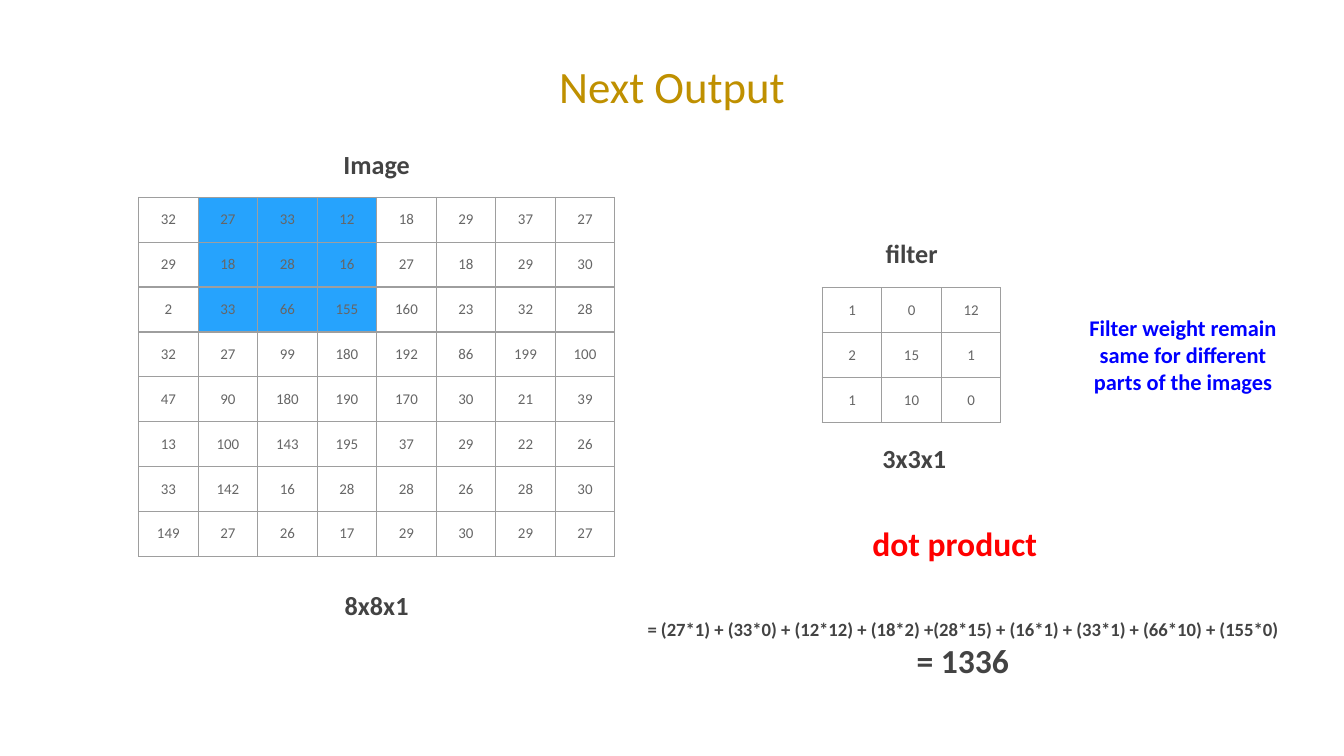
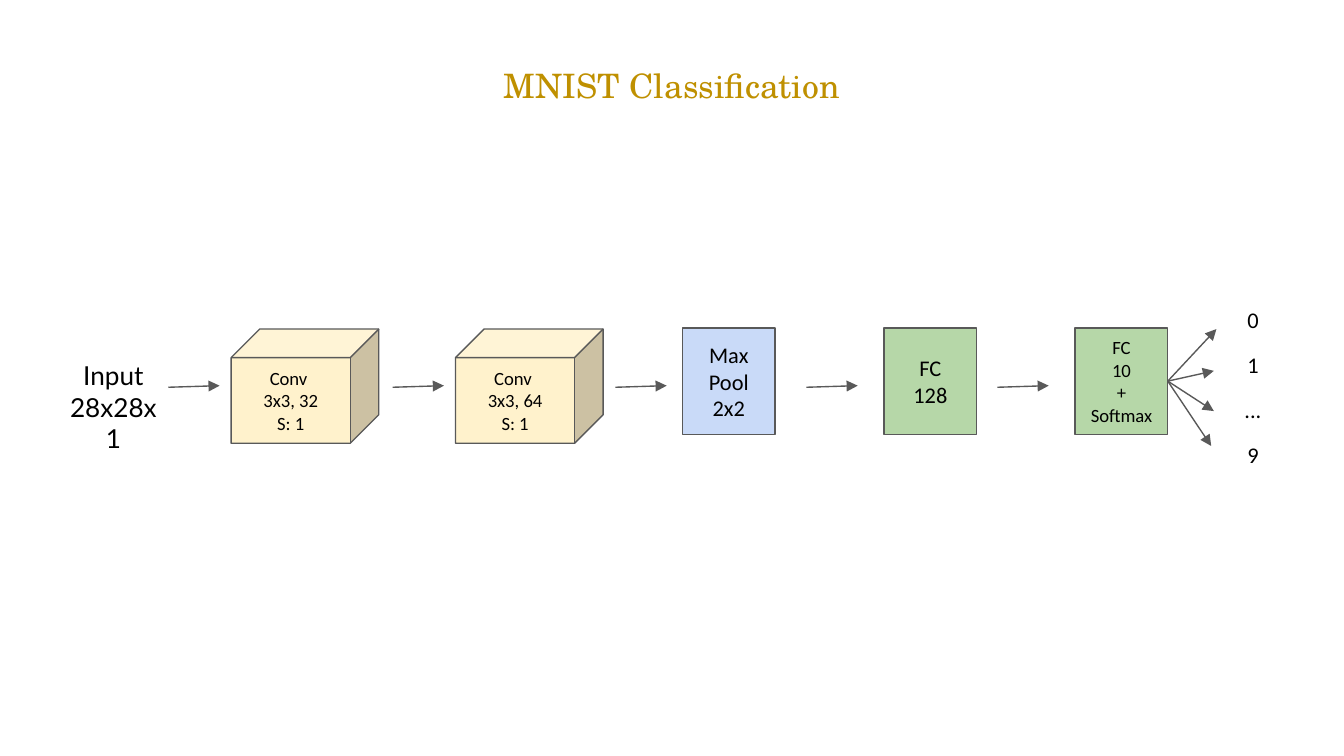
from dataclasses import dataclass

from lxml import etree
from pptx import Presentation
from pptx import util as u
from pptx.dml.color import RGBColor
from pptx.enum import shapes, text
from pptx.oxml import ns
from pptx.util import Cm, Pt

COLORS = {
    "title": "BF9000",
    "label": "434343",
    "number": "666666",
    "grid": "9E9E9E",
    "window": "26A3FD",
    "product": "FF0000",
    "note": "0000FF",
    "ink": "000000",
    "outline": "595959",
    "conv": "FFF2CC",
    "pool": "C9DAF8",
    "dense": "B6D7A8",
}
BODY_FONT = "Calibri"
INSET = Cm(0.25)
LINE_WIDTH = Pt(0.75)

# Tables: eight columns fill nine centimetres
CELL_WIDTH = Cm(9) // 8
CELL_HEIGHT = Cm(0.71)
IMAGE_VALUES = [
    [32, 27, 33, 12, 18, 29, 37, 27],
    [29, 18, 28, 16, 27, 18, 29, 30],
    [2, 33, 66, 155, 160, 23, 32, 28],
    [32, 27, 99, 180, 192, 86, 199, 100],
    [47, 90, 180, 190, 170, 30, 21, 39],
    [13, 100, 143, 195, 37, 29, 22, 26],
    [33, 142, 16, 28, 28, 26, 28, 30],
    [149, 27, 26, 17, 29, 30, 29, 27],
]
FILTER_VALUES = [[1, 0, 12], [2, 15, 1], [1, 10, 0]]
WINDOW = {(row, column) for row in range(3) for column in range(1, 4)}


@dataclass(frozen=True)
class Style:
    size: float
    color: str = "ink"
    bold: bool = False
    font: str = BODY_FONT


@dataclass(frozen=True)
class Area:
    left: float
    top: float
    width: float
    height: float

    def lengths(self) -> list[u.Length]:
        return [Cm(v) for v in (self.left, self.top, self.width, self.height)]


@dataclass(frozen=True)
class Label:
    words: str
    area: Area
    style: Style
    anchor: text.MSO_ANCHOR = text.MSO_ANCHOR.MIDDLE


@dataclass(frozen=True)
class Layer:
    words: str
    area: Area
    fill: str
    size: float
    kind: shapes.MSO_SHAPE = shapes.MSO_SHAPE.RECTANGLE


TITLE_AREA = Area(2.62, 1.02, 20.16, 1.19)
CAPTION = Style(14, "label", True)
DIGIT = Style(12)

LABELS = [
    Label("Image", Area(5.38, 2.62, 3.48, 0.97), CAPTION),
    Label("filter", Area(15.49, 4.29, 3.48, 0.97), CAPTION),
    Label("8x8x1", Area(5.38, 10.95, 3.48, 0.97), CAPTION),
    Label("3x3x1", Area(15.54, 8.18, 3.48, 0.97), CAPTION),
    Label("dot product", Area(13.23, 9.78, 9.63, 0.97),
          Style(18, "product", True)),
    Label("Filter weight remain same for different parts of the images",
          Area(20.24, 5.38, 4.24, 2.64), Style(12, "note", True)),
]
FORMULA = Label(
    "= (27*1) + (33*0) + (12*12) + (18*2) +(28*15) + (16*1) + (33*1)"
    " + (66*10) + (155*0)\n= 1336",
    Area(11.91, 10.77, 12.57, 2.57), Style(10, "label", True))

INPUT = Label("Input 28x28x1", Area(0.99, 6.55, 2.31, 1.52),
              Style(14, font="Lato"), text.MSO_ANCHOR.TOP)
LAYERS = [
    Layer("Conv \n3x3, 32\nS: 1", Area(4.37, 6.22, 2.79, 2.16), "conv", 10,
          shapes.MSO_SHAPE.CUBE),
    Layer("Conv \n3x3, 64\nS: 1", Area(8.61, 6.22, 2.79, 2.16), "conv", 10,
          shapes.MSO_SHAPE.CUBE),
    Layer("Max Pool\n2x2", Area(12.9, 6.2, 1.75, 2.01), "pool", 12),
    Layer("FC\n128", Area(16.71, 6.2, 1.75, 2.01), "dense", 12),
    Layer("FC\n10\n+\nSoftmax", Area(20.32, 6.2, 1.75, 2.01), "dense", 10),
]
FLOW_STARTS = [3.18, 7.42, 11.63, 15.24, 18.85]
FAN_ENDS = [(22.99, 6.22), (22.94, 7.01), (22.94, 7.77), (22.89, 8.43)]


def rgb(name: str) -> RGBColor:
    return RGBColor.from_string(COLORS[name])


def write(frame, words: str, style: Style) -> None:
    """Fill a text frame or cell frame with centred paragraphs."""
    frame.text = words
    for para in frame.paragraphs:
        para.alignment = text.PP_ALIGN.CENTER
        font = para.font
        font.name, font.size, font.bold = style.font, Pt(style.size), style.bold
        font.color.rgb = rgb(style.color)


def set_frame(frame, anchor=text.MSO_ANCHOR.MIDDLE) -> None:
    frame.word_wrap = True
    frame.auto_size = text.MSO_AUTO_SIZE.NONE
    frame.vertical_anchor = anchor
    frame.margin_left = frame.margin_right = INSET
    frame.margin_top = frame.margin_bottom = INSET


def add_page(deck, words: str, style: Style):
    page = deck.slides.add_slide(deck.slide_layouts[5])
    title = page.shapes.title
    title.left, title.top, title.width, title.height = TITLE_AREA.lengths()
    set_frame(title.text_frame)
    write(title.text_frame, words, style)
    return page


def add_label(page, label: Label):
    box = page.shapes.add_textbox(*label.area.lengths())
    set_frame(box.text_frame, label.anchor)
    write(box.text_frame, label.words, label.style)
    return box


def add_layer(page, layer: Layer):
    block = page.shapes.add_shape(layer.kind, *layer.area.lengths())
    block.shadow.inherit = False
    block.fill.solid()
    block.fill.fore_color.rgb = rgb(layer.fill)
    block.line.color.rgb = rgb("outline")
    block.line.width = LINE_WIDTH
    set_frame(block.text_frame)
    write(block.text_frame, layer.words, Style(layer.size))
    return block


def add_arrow(page, start: tuple[float, float], end: tuple[float, float]):
    arrow = page.shapes.add_connector(
        shapes.MSO_CONNECTOR.STRAIGHT, *(Cm(v) for v in (*start, *end)))
    arrow.line.color.rgb = rgb("outline")
    arrow.line.width = LINE_WIDTH
    head = etree.SubElement(arrow.line._get_or_add_ln(), ns.qn("a:tailEnd"))
    head.set("type", "triangle")
    etree.SubElement(arrow._element.spPr, ns.qn("a:effectLst"))
    return arrow


def add_borders(cell) -> None:
    properties = cell._tc.get_or_add_tcPr()
    for place, side in enumerate(("lnL", "lnR", "lnT", "lnB")):
        line = etree.Element(ns.qn(f"a:{side}"), w=str(LINE_WIDTH))
        fill = etree.SubElement(line, ns.qn("a:solidFill"))
        etree.SubElement(fill, ns.qn("a:srgbClr"), val=COLORS["grid"])
        properties.insert(place, line)


def add_matrix(page, left: float, top: float, values: list[list[int]],
               marked: set[tuple[int, int]] = frozenset()) -> None:
    rows, columns = len(values), len(values[0])
    table = page.shapes.add_table(
        rows, columns, Cm(left), Cm(top),
        CELL_WIDTH * columns, CELL_HEIGHT * rows).table
    table.first_row = table.horz_banding = False
    for row, numbers in enumerate(values):
        for column, number in enumerate(numbers):
            cell = table.cell(row, column)
            cell.vertical_anchor = text.MSO_ANCHOR.MIDDLE
            cell.margin_left = cell.margin_right = INSET
            cell.margin_top = cell.margin_bottom = INSET
            write(cell.text_frame, str(number), Style(8, "number"))
            if (row, column) in marked:
                cell.fill.solid()
                cell.fill.fore_color.rgb = rgb("window")
            else:
                cell.fill.background()
            add_borders(cell)


def build_output_page(deck) -> None:
    page = add_page(deck, "Next Output", Style(24, "title"))
    add_matrix(page, 2.62, 3.73, IMAGE_VALUES, WINDOW)
    add_matrix(page, 15.54, 5.44, FILTER_VALUES)
    for label in LABELS:
        add_label(page, label)
    terms, total = add_label(page, FORMULA).text_frame.paragraphs
    terms.line_spacing = 2.0
    total.font.size = Pt(18)


def build_network_page(deck) -> None:
    page = add_page(deck, "MNIST Classification",
                    Style(18, "title", font="TeX Gyre Schola"))
    add_label(page, INPUT)
    blocks = [add_layer(page, layer) for layer in LAYERS]
    for left in FLOW_STARTS:
        add_arrow(page, (left, 7.32), (left + 0.97, 7.29))

    # Class scores fan out from the last layer
    for end in FAN_ENDS:
        add_arrow(page, (22.07, 7.21), end).begin_connect(blocks[-1], 3)
    for place, digit in enumerate(("0", "1", "...", "9")):
        width = 1.17 if digit == "..." else 0.81
        area = Area(23.68 - width / 2, 5.72 + 0.85 * place, width, 0.66)
        add_label(page, Label(digit, area, DIGIT))


def main() -> None:
    deck = Presentation()
    deck.slide_width, deck.slide_height = Cm(25.4), Cm(14.29)
    build_output_page(deck)
    build_network_page(deck)
    deck.save("out.pptx")


if __name__ == "__main__":
    main()
